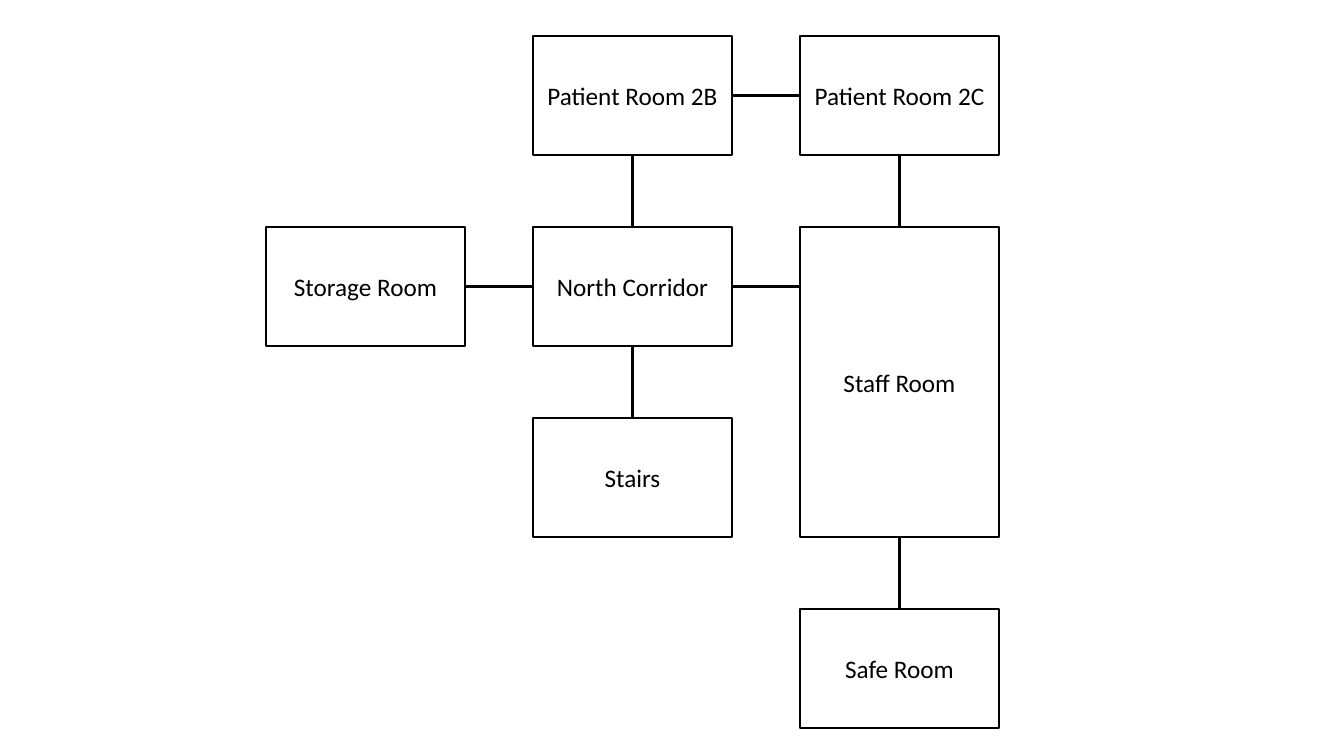
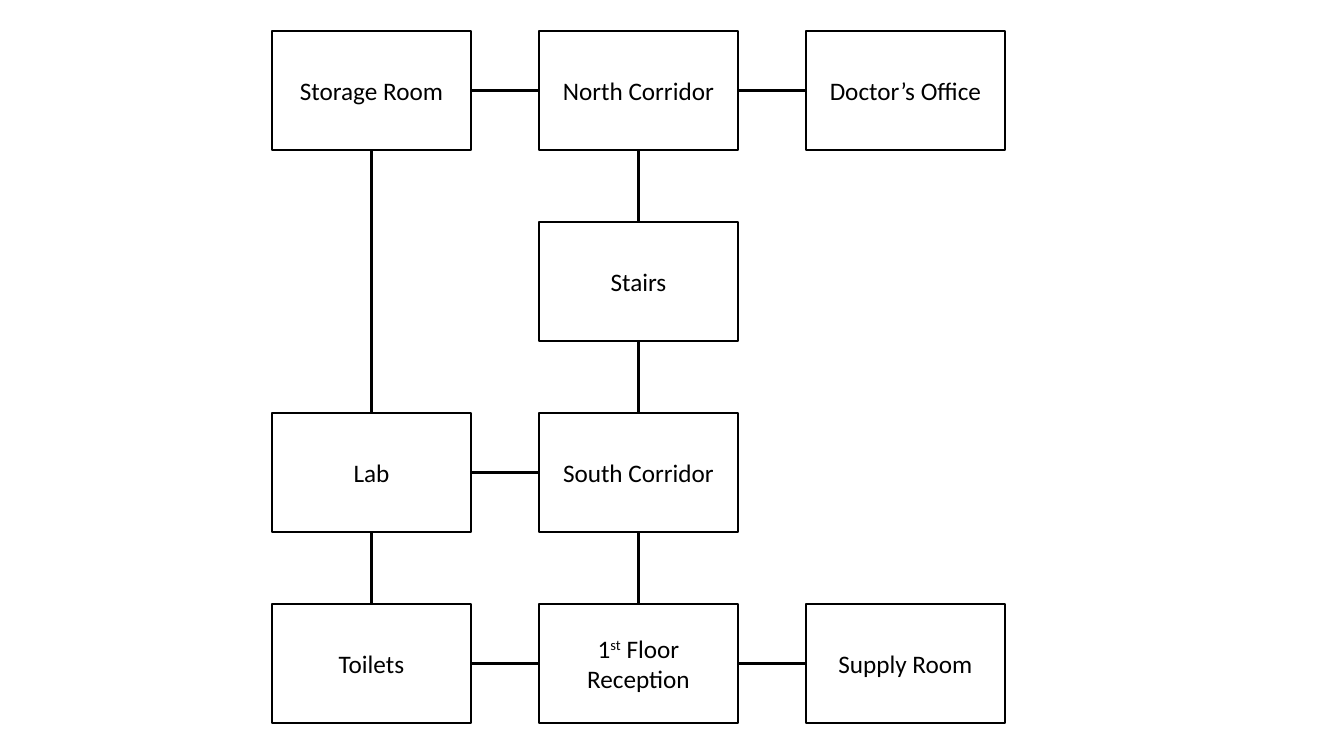
from pptx import Presentation
from pptx import util as u
from pptx.dml.color import RGBColor
from pptx.enum import shapes, text
from lxml import etree

SCALE = 914400 / 100.8
BLACK, WHITE = "000000", "FFFFFF"
WIDE, HIGH = 199, 119       # room size
STEP_X, STEP_Y = 267, 191   # grid pitch
TOP, LEFT, BOTTOM, RIGHT = range(4)  # connection sites of a rectangle
NS = "http://schemas.openxmlformats.org/drawingml/2006/main"


def px(n):
    return u.Emu(round(n * SCALE))


def color(code):
    return RGBColor.from_string(code)


# Each floor: grid origin, rooms (runs, column, row, rows spanned), links
# Runs alternate between normal and superscript text
floors = [
    dict(
        origin=(266, 36),
        rooms={
            "north": (["North Corridor"], 1, 1, 1),
            "2b": (["Patient Room 2B"], 1, 0, 1),
            "2c": (["Patient Room 2C"], 2, 0, 1),
            "stairs": (["Stairs"], 1, 2, 1),
            "storage": (["Storage Room"], 0, 1, 1),
            "safe": (["Safe Room"], 2, 3, 1),
            "staff": (["Staff Room"], 2, 1, 2),
        },
        across=[("2b", "2c"), ("storage", "north"), ("north", "staff")],
        down=[("2b", "north"), ("north", "stairs"),
              ("2c", "staff"), ("staff", "safe")],
    ),
    dict(
        origin=(272, 31),
        rooms={
            "north": (["North Corridor"], 1, 0, 1),
            "south": (["South Corridor"], 1, 2, 1),
            "lab": (["Lab"], 0, 2, 1),
            "stairs": (["Stairs"], 1, 1, 1),
            "storage": (["Storage Room"], 0, 0, 1),
            "supply": (["Supply Room"], 2, 3, 1),
            "toilets": (["Toilets"], 0, 3, 1),
            "desk": (["1", "st", " Floor Reception"], 1, 3, 1),
            "office": (["Doctor’s Office"], 2, 0, 1),
        },
        across=[("storage", "north"), ("north", "office"), ("lab", "south"),
                ("toilets", "desk"), ("desk", "supply")],
        down=[("north", "stairs"), ("stairs", "south"), ("south", "desk"),
              ("storage", "lab"), ("lab", "toilets")],
    ),
]

deck = Presentation()
deck.slide_width, deck.slide_height = px(1344), px(756)

for floor in floors:
    slide = deck.slides.add_slide(deck.slide_layouts[6])
    x0, y0 = floor["origin"]

    # Rooms
    boxes = {}
    for key, (parts, col, row, span) in floor["rooms"].items():
        box = slide.shapes.add_shape(
            shapes.MSO_SHAPE.RECTANGLE,
            px(x0 + col * STEP_X), px(y0 + row * STEP_Y),
            px(WIDE), px(HIGH + (span - 1) * STEP_Y))
        box.shadow.inherit = False
        box.fill.solid()
        box.fill.fore_color.rgb = color(WHITE)
        box.line.color.rgb = color(BLACK)
        box.line.width = u.Pt(1)
        frame = box.text_frame
        frame.word_wrap = True
        frame.vertical_anchor = text.MSO_ANCHOR.MIDDLE
        para = frame.paragraphs[0]
        para.alignment = text.PP_ALIGN.CENTER
        for i, part in enumerate(parts):
            run = para.add_run()
            run.text = part
            run.font.name = "Calibri"
            run.font.size = u.Pt(18)
            run.font.color.rgb = color(BLACK)
            if i % 2:
                run.font._element.set("baseline", "30000")
        boxes[key] = box

    # Doors between rooms
    for way in ("across", "down"):
        for first, last in floor[way]:
            a, b = boxes[first], boxes[last]
            if way == "across":
                y = a.top + a.height // 2
                ends = a.left + a.width, y, b.left, y
                sites = RIGHT, LEFT
            else:
                x = a.left + a.width // 2
                ends = x, a.top + a.height, x, b.top
                sites = BOTTOM, TOP
            door = slide.shapes.add_connector(
                shapes.MSO_CONNECTOR.STRAIGHT, *ends)
            door.begin_connect(a, sites[0])
            # A taller neighbour has no site level with the door
            if way == "down" or a.height == b.height:
                door.end_connect(b, sites[1])
            door.line.color.rgb = color(BLACK)
            door.line.width = u.Pt(1.5)
            etree.SubElement(door._element.spPr, f"{{{NS}}}effectLst")

deck.save("out.pptx")
